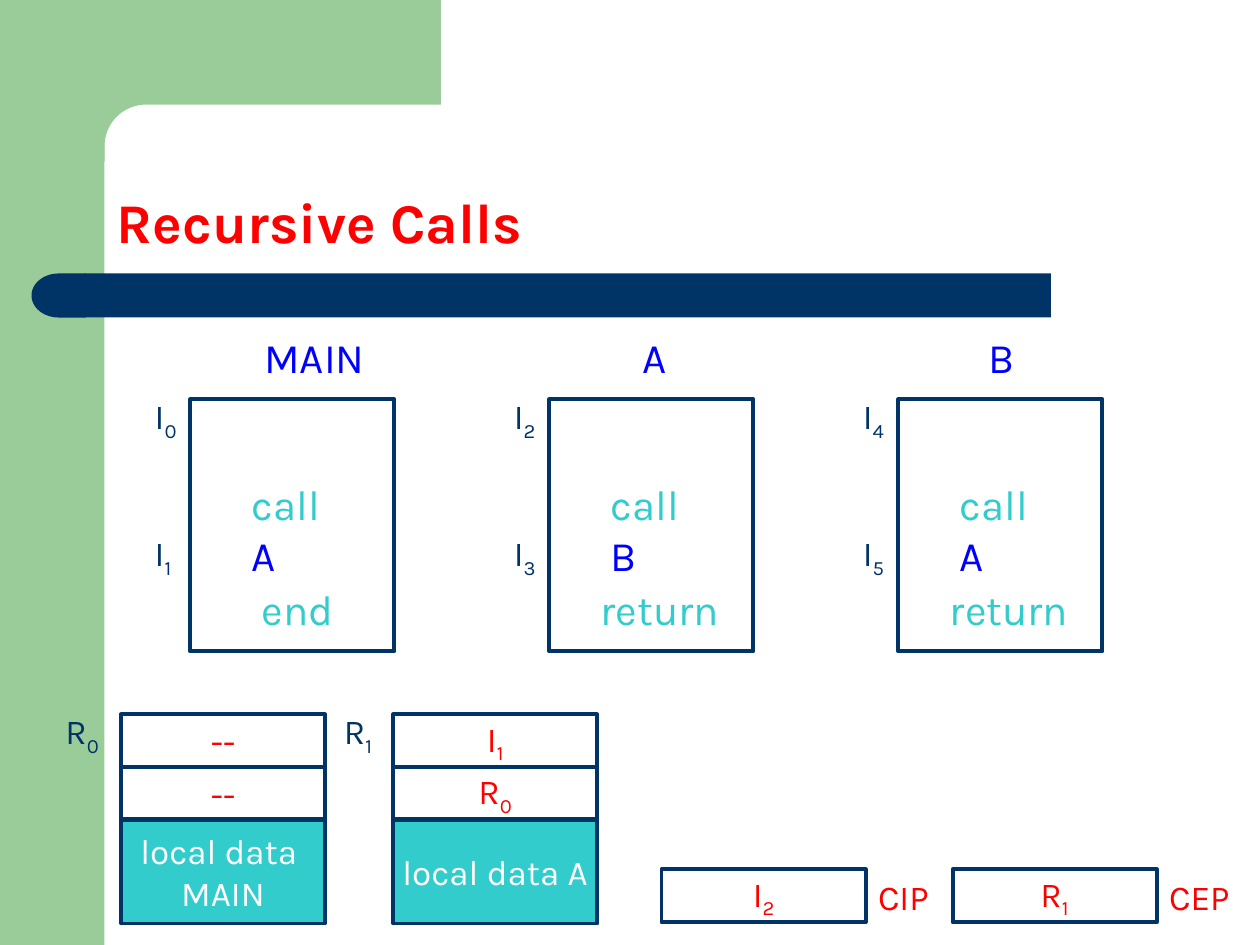
"""Build the slide that traces recursive calls with code segments and activation records."""
from dataclasses import dataclass
from math import cos, pi, sin

from pptx import Presentation
from pptx.dml.color import RGBColor
from pptx.enum.shapes import MSO_SHAPE
from pptx.enum.text import MSO_ANCHOR, PP_ALIGN
from pptx.util import Inches, Pt


@dataclass(frozen=True)
class Theme:
    font: str = "Karla"
    green: str = "99CC99"
    navy: str = "003366"
    red: str = "FF0000"
    blue: str = "0000FF"
    teal: str = "33CCCC"
    white: str = "FFFFFF"
    title: int = 32
    code: int = 24
    label: int = 20
    border: float = 2.25


THEME = Theme()

TITLE = "Recursive Calls"
SEGMENTS = [
    {"name": "MAIN", "left": 1.51, "name_left": 2.0, "name_width": 1.17, "callee": "A",
     "last": "end", "last_shift": 0.47, "addresses": ("0", "1")},
    {"name": "A", "left": 4.36, "name_left": 5.0, "name_width": 0.46, "callee": "B",
     "last": "return", "last_shift": 0.31, "addresses": ("2", "3")},
    {"name": "B", "left": 7.13, "name_left": 7.75, "name_width": 0.46, "callee": "A",
     "last": "return", "last_shift": 0.31, "addresses": ("4", "5")},
]
RECORDS = [
    {"number": "0", "left": 0.96, "label_left": 0.42, "data": ["local data ", "MAIN"],
     "links": [("--", ""), ("--", "")]},
    {"number": "1", "left": 3.12, "label_left": 2.63, "data": ["local data A"],
     "links": [("I", "1"), ("R", "0")]},
]
REGISTERS = [("CIP", 5.25, ("I", "2")), ("CEP", 7.56, ("R", "1"))]

BOX_WIDTH = 1.62
CELL_HEIGHT = 0.42
RECORD_TOP = 5.67
DATA_TOP = 6.5
REGISTER_TOP = 6.9


def color(code):
    return RGBColor.from_string(code)


def subscripted(symbol, index, tint):
    """Return the spans of a symbol with a lowered index."""
    return [(symbol, tint, False)] + ([(index, tint, True)] if index else [])


def write(frame, lines, size, align=PP_ALIGN.LEFT, bold=False):
    """Fill a text frame; each line is a list of (text, colour, lowered)."""
    for number, line in enumerate(lines):
        para = frame.add_paragraph() if number else frame.paragraphs[0]
        para.alignment = align
        for text, tint, lowered in line:
            span = para.add_run()
            span.text = text
            span.font.name = THEME.font
            span.font.size = Pt(size)
            span.font.bold = bold
            span.font.color.rgb = color(tint)
            if lowered:
                span.font._element.set("baseline", "-25000")


def add_text(page, left, top, width, height, spans, size, bold=False):
    box = page.shapes.add_textbox(Inches(left), Inches(top), Inches(width), Inches(height))
    box.text_frame.word_wrap = True
    write(box.text_frame, [spans], size, bold=bold)
    return box


def paint(shape, fill=None, line=None):
    shape.shadow.inherit = False
    if fill:
        shape.fill.solid()
        shape.fill.fore_color.rgb = color(fill)
    else:
        shape.fill.background()
    if line:
        shape.line.color.rgb = color(line)
        shape.line.width = Pt(THEME.border)
    else:
        shape.line.fill.background()


def add_block(page, left, top, width, height, fill=None, line=None, kind=MSO_SHAPE.RECTANGLE):
    block = page.shapes.add_shape(kind, Inches(left), Inches(top), Inches(width), Inches(height))
    paint(block, fill, line)
    return block


def add_cell(page, left, top, height, lines, fill=None):
    cell = add_block(page, left, top, BOX_WIDTH, height, fill, THEME.navy)
    cell.text_frame.word_wrap = False
    cell.text_frame.vertical_anchor = MSO_ANCHOR.MIDDLE
    write(cell.text_frame, lines, THEME.label, PP_ALIGN.CENTER)


def add_backdrop(page):
    add_block(page, 0, 0, 0.83, 7.5, THEME.green)
    center, radius, steps = 1.16, 0.33, 16
    angles = [pi / 2 * step / steps for step in range(steps + 1)]
    corner = [(center - radius * sin(angle), center - radius * cos(angle)) for angle in angles]
    outline = [(3.5, 0), (3.5, 0.83), *corner, (0.83, 1.28), (0.5, 1.28), (0.5, 0)]
    points = [(Inches(x), Inches(y)) for x, y in outline]
    builder = page.shapes.build_freeform(*points[0])
    builder.add_line_segments(points[1:], close=True)
    paint(builder.convert_to_shape(), THEME.green)
    add_block(page, 0.67, 2.17, 7.67, 0.35, THEME.navy)
    cap = add_block(page, 0.25, 2.17, 0.43, 0.35, THEME.navy, kind=MSO_SHAPE.FLOWCHART_DELAY)
    cap.rotation = 180


def add_segment(page, segment):
    left = segment["left"]
    add_block(page, left, 3.17, BOX_WIDTH, 2, line=THEME.navy)
    add_text(page, segment["name_left"], 2.58, segment["name_width"], 0.5,
             [(segment["name"], THEME.blue, False)], THEME.code)
    add_text(page, left + 0.39, 3.75, 1, 0.9,
             [("call ", THEME.teal, False), (segment["callee"], THEME.blue, False)], THEME.code)
    add_text(page, left + segment["last_shift"], 4.58, 1.25, 0.5,
             [(segment["last"], THEME.teal, False)], THEME.code)
    for top, index in zip((3.08, 4.17), segment["addresses"]):
        add_text(page, left - 0.38, top, 0.46, 0.48,
                 subscripted("I", index, THEME.navy), THEME.label)


def add_record(page, record):
    left = record["left"]
    add_cell(page, left, DATA_TOP, 0.83,
             [[(text, THEME.white, False)] for text in record["data"]], THEME.teal)
    for row, link in enumerate(record["links"]):
        add_cell(page, left, RECORD_TOP + row * (DATA_TOP - RECORD_TOP) / 2, CELL_HEIGHT,
                 [subscripted(*link, THEME.red)])
    add_text(page, record["label_left"], 5.58, 0.55, 0.48,
             subscripted("R", record["number"], THEME.navy), THEME.label)


def main():
    deck = Presentation()
    deck.slide_width, deck.slide_height = Inches(10), Inches(7.5)
    page = deck.slides.add_slide(deck.slide_layouts[6])
    add_backdrop(page)
    title = add_text(page, 0.83, 0.83, 8.67, 1.25, [(TITLE, THEME.red, False)],
                     THEME.title, bold=True)
    title.text_frame.vertical_anchor = MSO_ANCHOR.BOTTOM
    title.text_frame.paragraphs[0].line_spacing = 0.9
    for segment in SEGMENTS:
        add_segment(page, segment)
    for record in RECORDS:
        add_record(page, record)
    for name, left, value in REGISTERS:
        add_cell(page, left, REGISTER_TOP, CELL_HEIGHT, [subscripted(*value, THEME.red)])
        add_text(page, left + BOX_WIDTH, REGISTER_TOP, 0.75, 0.44,
                 [(name, THEME.red, False)], THEME.label)
    deck.save("out.pptx")


if __name__ == "__main__":
    main()
